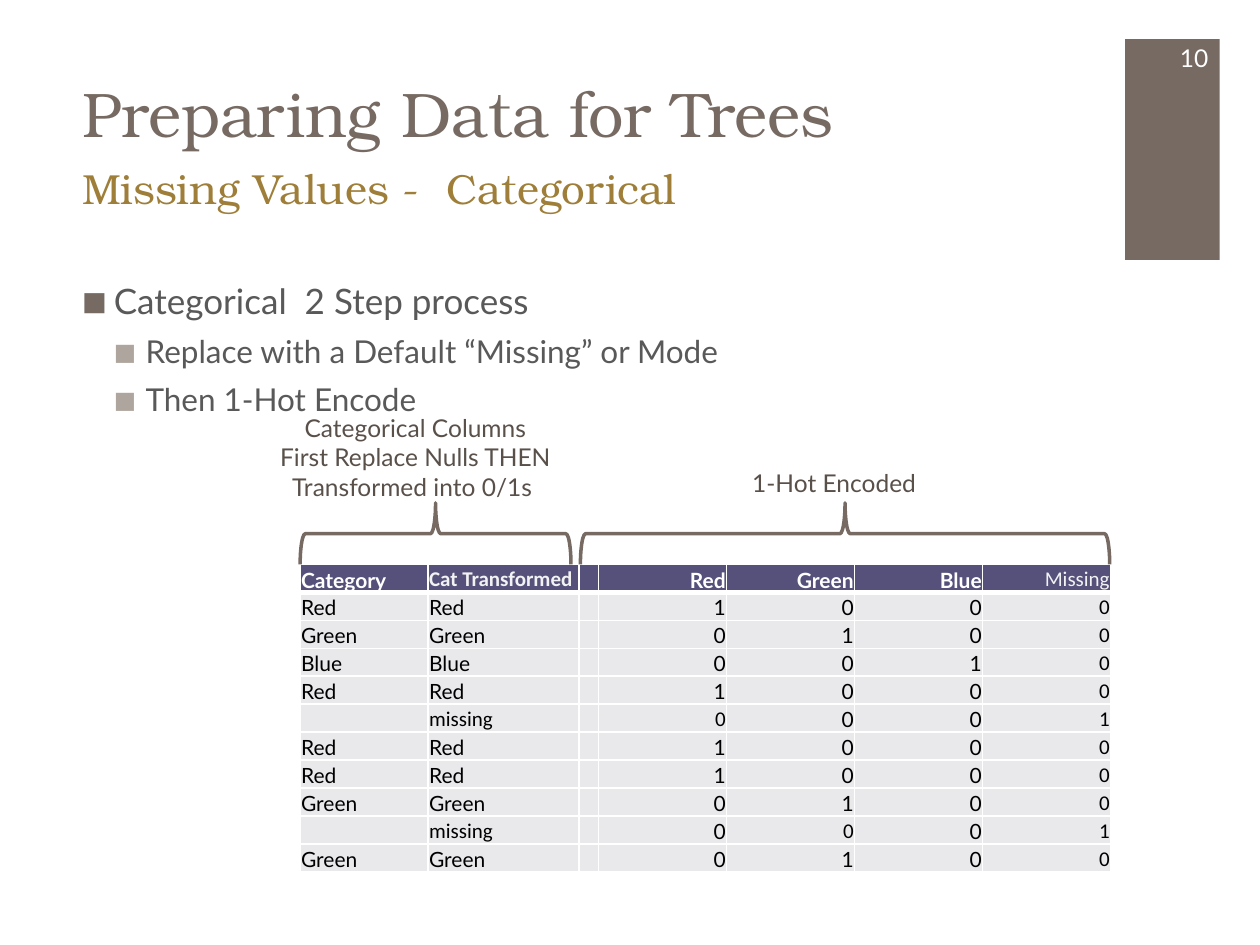
from lxml.etree import SubElement
from pptx import Presentation
from pptx.dml.color import RGBColor
from pptx.enum.shapes import MSO_SHAPE
from pptx.enum.text import MSO_ANCHOR, MSO_AUTO_SIZE, PP_ALIGN
from pptx.oxml.ns import qn
from pptx.util import Cm, Pt

TAUPE = RGBColor(0x76, 0x6A, 0x62)
LIGHT_TAUPE = RGBColor(0xAF, 0xA5, 0x9F)
DARK_TAUPE = RGBColor(0x59, 0x50, 0x4A)
GOLD = RGBColor(0x9E, 0x7E, 0x38)
GREY = RGBColor(0x59, 0x59, 0x59)
PURPLE = RGBColor(0x55, 0x51, 0x7B)
PALE = RGBColor(0xE9, 0xE9, 0xEC)
OFF_WHITE = RGBColor(0xF2, 0xF2, 0xF2)
WHITE = RGBColor(0xFF, 0xFF, 0xFF)
BLACK = RGBColor(0, 0, 0)
SERIF, SANS, ALT_SANS = "TeX Gyre Bonum", "Lato", "Calibri"

COLORS = ["Red", "Green", "Blue"]
CATEGORIES = ["Red", "Green", "Blue", "Red", "", "Red", "Red", "Green", "", "Green"]
ALT_FONT_CELLS = {(0, 1), (5, 1), (5, 3), (9, 1), (9, 4)}
COLUMN_WIDTHS = [2.58, 3.04, 0.4, 2.58, 2.58, 2.58, 2.58]


def place(shape, box):
    shape.left, shape.top, shape.width, shape.height = (Cm(v) for v in box)


def add_run(p, text, size, font, color, bold=False):
    r = p.add_run()
    r.text = text
    r.font.size, r.font.name, r.font.bold = Pt(size), font, bold
    r.font.color.rgb = color


def format_frame(shape, anchor=MSO_ANCHOR.TOP):
    tf = shape.text_frame
    tf.word_wrap = True
    tf.auto_size = MSO_AUTO_SIZE.NONE
    tf.vertical_anchor = anchor
    return tf


def set_bullet(p, color, level):
    pPr = p._p.get_or_add_pPr()
    pPr.set("marL", str(Cm(0.64 * (level + 1))))
    pPr.set("indent", str(-Cm(0.64)))
    SubElement(SubElement(pPr, qn("a:buClr")), qn("a:srgbClr"), val=str(color))
    SubElement(pPr, qn("a:buSzPct"), val="75000")
    SubElement(pPr, qn("a:buFont"), typeface=SANS)
    SubElement(pPr, qn("a:buChar"), char="■")
    p.level = level


def add_heading(shape, box, text, size, color, anchor):
    place(shape, box)
    p = format_frame(shape, anchor).paragraphs[0]
    pPr = p._p.get_or_add_pPr()
    pPr.set("marL", "0")
    pPr.set("indent", "0")
    SubElement(pPr, qn("a:buNone"))
    p.alignment = PP_ALIGN.LEFT
    p.space_before = Pt(0)
    add_run(p, text, size, SERIF, color)


def add_list(shape, box, items):
    place(shape, box)
    tf = format_frame(shape)
    for i, (level, text) in enumerate(items):
        p = tf.add_paragraph() if i else tf.paragraphs[0]
        set_bullet(p, LIGHT_TAUPE if level else TAUPE, level)
        p.space_before = Pt(6 if i else 0)
        add_run(p, text, 18 if level else 20, SANS, GREY)


def add_label(s, box, lines, color, align=PP_ALIGN.CENTER, anchor=MSO_ANCHOR.TOP):
    tf = format_frame(s.shapes.add_textbox(*(Cm(v) for v in box)), anchor)
    for i, line in enumerate(lines):
        p = tf.add_paragraph() if i else tf.paragraphs[0]
        p.alignment = align
        add_run(p, line, 14, SANS, color)


def add_page_tab(s, box, number):
    x, y, w, h = box
    tab = s.shapes.add_shape(MSO_SHAPE.RECTANGLE, *(Cm(v) for v in box))
    tab.shadow.inherit = False
    tab.fill.solid()
    tab.fill.fore_color.rgb = TAUPE
    tab.line.fill.background()
    add_label(s, (x + 0.38, y - 0.13, 1.55, 1.02), [number], WHITE,
              PP_ALIGN.RIGHT, MSO_ANCHOR.MIDDLE)


def add_brace(s, box):
    # The brace is turned a quarter, so width and height swap about its centre
    x, y, w, h = box
    brace = s.shapes.add_shape(MSO_SHAPE.LEFT_BRACE, Cm(x + (w - h) / 2),
                               Cm(y + (h - w) / 2), Cm(h), Cm(w))
    brace.rotation = 90
    brace.shadow.inherit = False
    brace.fill.background()
    brace.line.color.rgb = TAUPE
    brace.line.width = Pt(2)


def set_borders(cell, bottom):
    tcPr = cell._tc.get_or_add_tcPr()
    for side, width in (("L", 1), ("R", 1), ("T", 1), ("B", bottom)):
        ln = SubElement(tcPr, qn(f"a:ln{side}"), w=str(Pt(width)))
        fill = SubElement(ln, qn("a:solidFill"))
        SubElement(fill, qn("a:srgbClr"), val=str(WHITE))


def table_rows():
    rows = [["Category", "Cat Transformed", "", *COLORS, "Missing"]]
    for category in CATEGORIES:
        transformed = category or "missing"
        flags = [str(int(transformed == c)) for c in [*COLORS, "missing"]]
        rows.append([category, transformed, "", *flags])
    return rows


def fill_cell(cell, text, row, col):
    header = row == 0
    alt = col == 6 or (row, col) in ALT_FONT_CELLS
    set_borders(cell, 3 if header else 1)
    cell.fill.solid()
    cell.fill.fore_color.rgb = PURPLE if header else PALE
    cell.vertical_anchor = MSO_ANCHOR.BOTTOM
    cell.margin_left = cell.margin_right = cell.margin_top = Cm(0.02)
    cell.margin_bottom = 0
    p = cell.text_frame.paragraphs[0]
    p.alignment = PP_ALIGN.RIGHT if col > 2 else PP_ALIGN.LEFT
    if text:
        color = BLACK if not header else OFF_WHITE if alt else WHITE
        add_run(p, text, 12, ALT_SANS if alt else SANS, color, header and col < 6)
    else:
        SubElement(p._p, qn("a:endParaRPr"), sz="1200")


def add_encoding_table(s, box):
    rows = table_rows()
    table = s.shapes.add_table(len(rows), len(COLUMN_WIDTHS),
                               *(Cm(v) for v in box)).table
    for column, width in zip(table.columns, COLUMN_WIDTHS):
        column.width = Cm(width)
    for i, row in enumerate(rows):
        table.rows[i].height = Cm(box[3] / len(rows))
        for j, text in enumerate(row):
            fill_cell(table.cell(i, j), text, i, j)


def main():
    prs = Presentation()
    prs.slide_width, prs.slide_height = Cm(25.4), Cm(19.05)
    s = prs.slides.add_slide(prs.slide_layouts[3])
    title, body, subtitle = s.placeholders

    # Page number, headings and list
    add_page_tab(s, (22.68, 0.79, 1.91, 4.45), "10")
    add_heading(title, (1.4, 0.38, 20.98, 2.77), "Preparing Data for Trees",
                36, TAUPE, MSO_ANCHOR.BOTTOM)
    add_heading(subtitle, (1.4, 3.15, 20.98, 2.16), "Missing Values -  Categorical",
                24, GOLD, MSO_ANCHOR.TOP)
    add_list(body, (1.4, 5.51, 20.98, 2.9), [
        (0, "Categorical  2 Step process"),
        (1, "Replace with a Default “Missing” or Mode"),
        (1, "Then 1-Hot Encode"),
    ])

    # Table with a labelled brace over each group of columns
    add_encoding_table(s, (6.05, 11.38, 16.34, 6.2))
    add_brace(s, (11.7, 10.14, 10.67, 1.24))
    add_label(s, (13.49, 9.32, 6.65, 0.86), ["1-Hot Encoded"], DARK_TAUPE)
    add_brace(s, (6.05, 10.14, 5.46, 1.24))
    add_label(s, (5.05, 8.2, 6.65, 2.06), [
        "Categorical Columns",
        "First Replace Nulls THEN Transformed into 0/1s ",
    ], DARK_TAUPE)

    prs.save("out.pptx")


if __name__ == "__main__":
    main()
